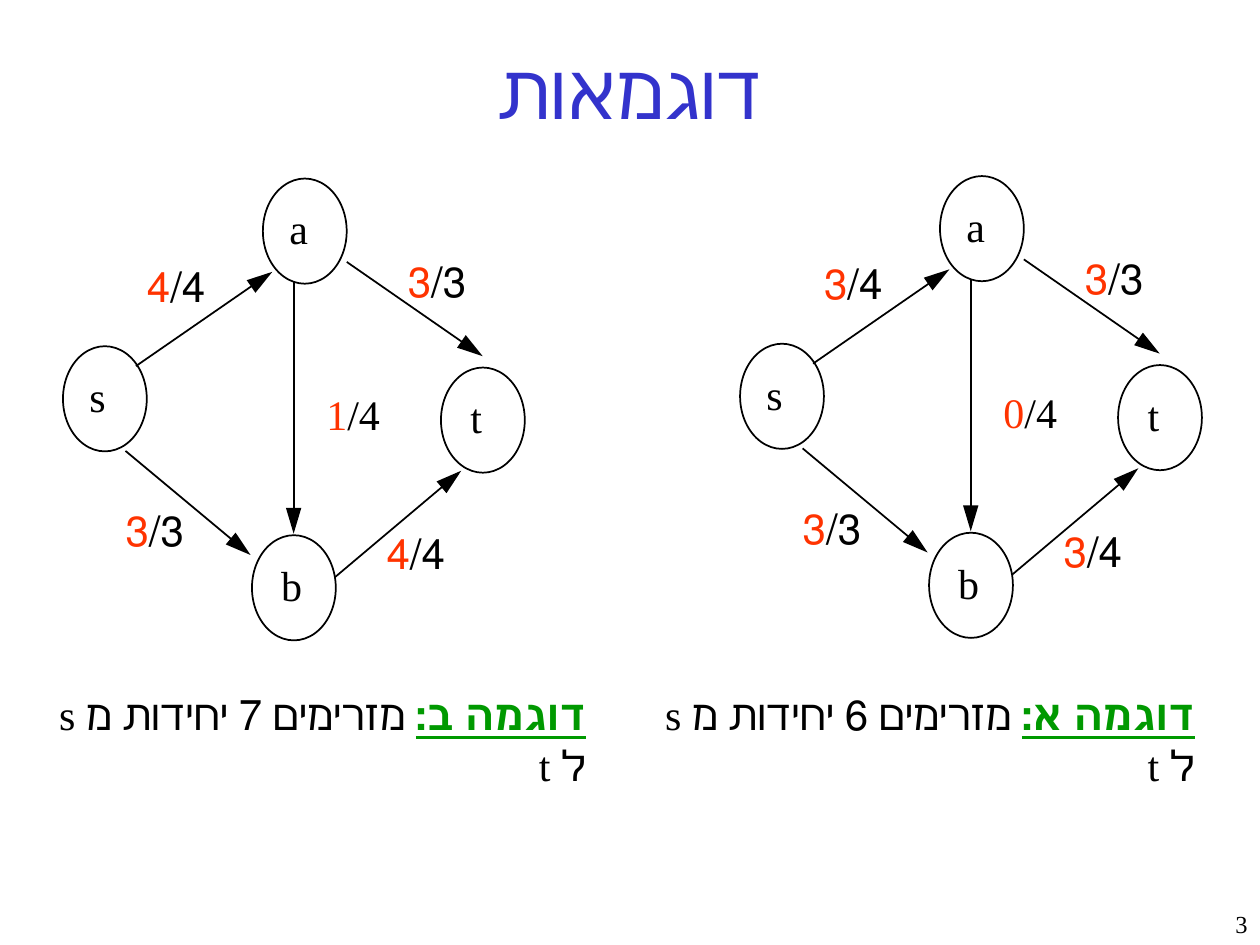
from dataclasses import dataclass
from math import hypot

from lxml.etree import SubElement
from pptx import Presentation
from pptx.dml.color import RGBColor
from pptx.enum.shapes import MSO_CONNECTOR as Connector, MSO_SHAPE as Shape
from pptx.enum.text import MSO_ANCHOR as Anchor, MSO_AUTO_SIZE as AutoSize, PP_ALIGN as Align
from pptx.oxml.ns import qn
from pptx.util import Cm, Pt

COLORS = {"title": "3333CC", "ink": "000000", "flow": "FF3300", "example": "009900"}
FONT = "Times New Roman"
NODE_WIDTH, NODE_HEIGHT = 1.69, 2.12
TEXT_HEIGHT = 1.02
LABEL_WIDTH = 1.27
HEAD_LENGTH, HEAD_WIDTH, LINE_GAP = 0.52, 0.31, 0.28
INSETS = ("margin_left", "margin_top", "margin_right", "margin_bottom")


@dataclass
class Node:
    name: str
    x: float
    y: float
    letter_offset: float
    letter_width: float


@dataclass
class Edge:
    start: tuple[float, float]
    tip: tuple[float, float]
    label: tuple[float, float]
    capacity: int
    right_to_left: bool = True


@dataclass
class Example:
    heading: str
    sentence: str
    x: float
    y: float
    caption_x: float
    flows: tuple[int, ...]


@dataclass
class Run:
    text: str
    color: str = "ink"
    size: int = 24
    bold: bool = False
    underline: bool = False


NODES = [
    Node("s", 0, 3.38, 0.53, 0.33),
    Node("t", 7.62, 3.81, 0.6, 0.23),
    Node("b", 3.81, 7.19, 0.58, 0.43),
    Node("a", 4.03, 0, 0.53, 0.38),
]
EDGES = [
    Edge((1.47, 3.78), (4.22, 1.88), (1.6, 1.65), 4),
    Edge((1.26, 5.49), (3.78, 7.59), (1.17, 6.58), 3),
    Edge((5.72, 1.68), (8.46, 3.58), (6.86, 1.55), 3),
    Edge((5.49, 8.03), (8.03, 5.89), (6.43, 7.04), 4),
    Edge((4.65, 2.08), (4.65, 7.16), (5.31, 4.24), 4, False),
]
EXAMPLES = [
    Example("דוגמה א:", " מזרימים 6 יחידות מ s ל t", 14.92, 3.55, 12.91, (3, 3, 3, 3, 0)),
    Example("דוגמה ב:", " מזרימים 7 יחידות מ s ל t", 1.27, 3.6, 0.64, (4, 3, 3, 4, 1)),
]


def color(name: str) -> RGBColor:
    return RGBColor.from_string(COLORS[name])


def write(paragraph, runs: list[Run], alignment, right_to_left: bool = True) -> None:
    paragraph.alignment = alignment
    if right_to_left:
        paragraph._p.get_or_add_pPr().set("rtl", "1")
    for item in runs:
        run = paragraph.add_run()
        run.text = item.text
        formats = {
            "name": FONT,
            "size": Pt(item.size),
            "bold": item.bold,
            "underline": item.underline,
        }
        for attribute, value in formats.items():
            setattr(run.font, attribute, value)
        run.font.color.rgb = color(item.color)


def add_label(shapes, x: float, y: float, width: float, runs: list[Run],
              right_to_left: bool = True) -> None:
    frame = shapes.add_textbox(Cm(x), Cm(y), Cm(width), Cm(TEXT_HEIGHT)).text_frame
    formats = {"word_wrap": False, "auto_size": AutoSize.NONE}
    formats.update(dict.fromkeys(INSETS, 0))
    for attribute, value in formats.items():
        setattr(frame, attribute, value)
    alignment = Align.RIGHT if right_to_left else Align.LEFT
    write(frame.paragraphs[0], runs, alignment, right_to_left)


def add_node(shapes, node: Node, x: float, y: float) -> None:
    left, top = x + node.x, y + node.y
    ellipse = shapes.add_shape(Shape.OVAL, Cm(left), Cm(top), Cm(NODE_WIDTH), Cm(NODE_HEIGHT))
    ellipse.shadow.inherit = False
    ellipse.fill.background()
    ellipse.line.color.rgb = color("ink")
    ellipse.line.width = Pt(1)
    add_label(shapes, left + node.letter_offset, top + 0.49, node.letter_width, [Run(node.name)])


def add_arrow(shapes, start: tuple[float, float], tip: tuple[float, float]) -> None:
    (start_x, start_y), (tip_x, tip_y) = start, tip
    length = hypot(tip_x - start_x, tip_y - start_y)
    along_x, along_y = (tip_x - start_x) / length, (tip_y - start_y) / length
    line = shapes.add_connector(
        Connector.STRAIGHT, Cm(start_x), Cm(start_y),
        Cm(tip_x - LINE_GAP * along_x), Cm(tip_y - LINE_GAP * along_y))
    line.line.color.rgb = color("ink")
    line.line.width = Pt(1)
    SubElement(line._element.spPr, qn("a:effectLst"))

    base_x, base_y = tip_x - HEAD_LENGTH * along_x, tip_y - HEAD_LENGTH * along_y
    corners = [(Cm(base_x - side * along_y), Cm(base_y + side * along_x))
               for side in (-HEAD_WIDTH / 2, HEAD_WIDTH / 2)]
    builder = shapes.build_freeform(Cm(tip_x), Cm(tip_y))
    builder.add_line_segments(corners, close=True)
    head = builder.convert_to_shape()
    head.shadow.inherit = False
    head.fill.solid()
    head.fill.fore_color.rgb = color("ink")
    head.line.fill.background()


def add_network(slide, example: Example) -> None:
    shapes = slide.shapes.add_group_shape().shapes
    x, y = example.x, example.y
    for node in NODES:
        add_node(shapes, node, x, y)
    for edge, flow in zip(EDGES, example.flows):
        add_arrow(shapes, (x + edge.start[0], y + edge.start[1]),
                  (x + edge.tip[0], y + edge.tip[1]))
        runs = [Run(str(flow), "flow"), Run(f"/{edge.capacity}")]
        add_label(shapes, x + edge.label[0], y + edge.label[1], LABEL_WIDTH, runs,
                  edge.right_to_left)


def add_caption(slide, example: Example) -> None:
    frame = slide.shapes.add_textbox(
        Cm(example.caption_x), Cm(13.76), Cm(11.43), Cm(2.29)).text_frame
    frame.word_wrap = True
    runs = [Run(example.heading, "example", bold=True, underline=True), Run(example.sentence)]
    write(frame.paragraphs[0], runs, Align.RIGHT)


def add_title(slide) -> None:
    title = slide.shapes.title
    box = {"left": 1.91, "top": 0.2, "width": 21.59, "height": 3.18}
    for attribute, value in box.items():
        setattr(title, attribute, Cm(value))
    title.text_frame.vertical_anchor = Anchor.MIDDLE
    write(title.text_frame.paragraphs[0], [Run("דוגמאות", "title", 44)], Align.CENTER)


def add_page_number(slide) -> None:
    frame = slide.shapes.add_textbox(Cm(20.12), Cm(18.21), Cm(5.28), Cm(0.84)).text_frame
    frame.word_wrap = True
    write(frame.paragraphs[0], [Run("3", size=14)], Align.RIGHT, False)


def main() -> None:
    presentation = Presentation()
    presentation.slide_width, presentation.slide_height = Cm(25.4), Cm(19.05)
    slide = presentation.slides.add_slide(presentation.slide_layouts[5])
    add_title(slide)
    for example in EXAMPLES:
        add_network(slide, example)
        add_caption(slide, example)
    add_page_number(slide)
    presentation.save("out.pptx")


if __name__ == "__main__":
    main()
